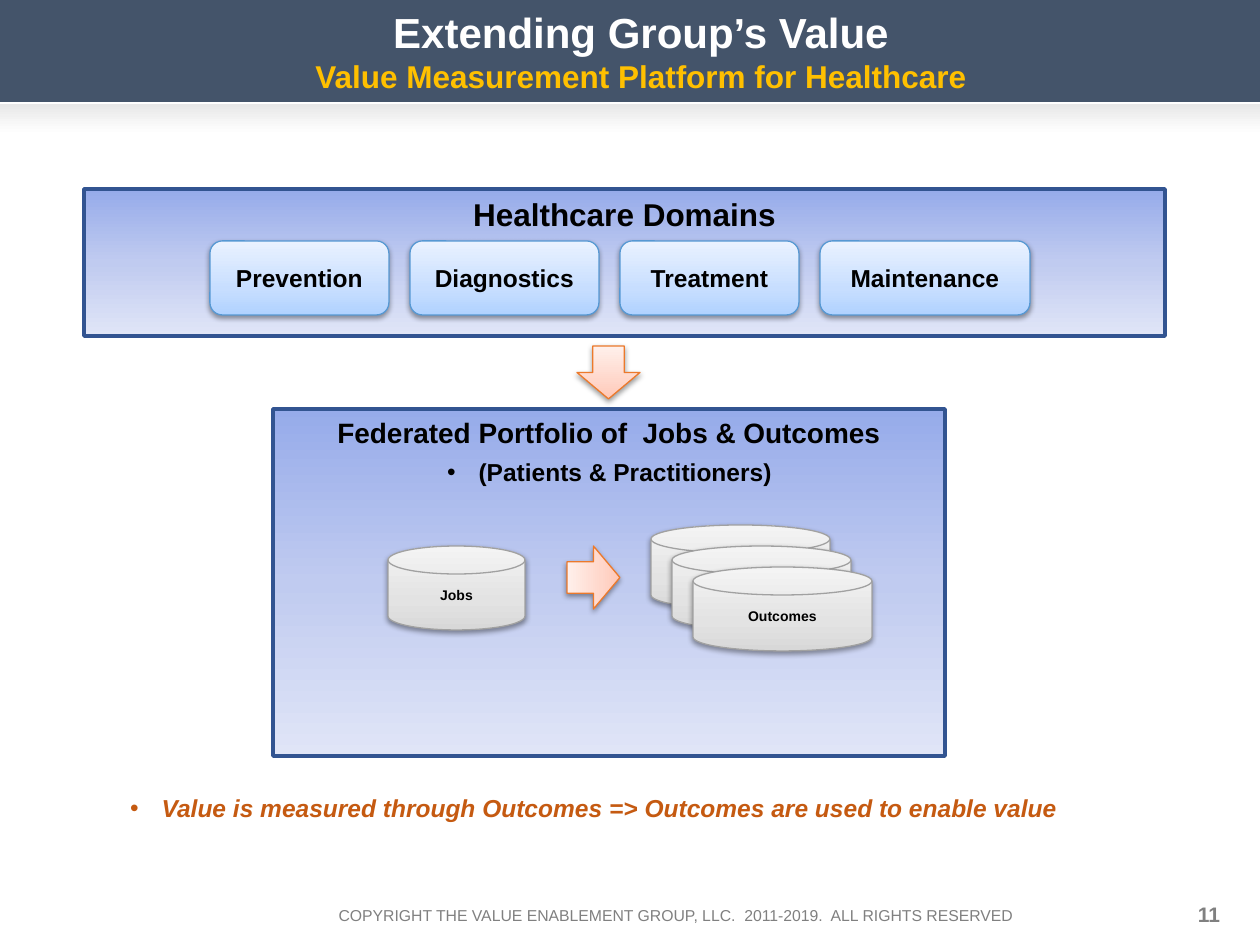
from lxml.etree import SubElement
from pptx import Presentation
from pptx.dml.color import RGBColor
from pptx.enum.shapes import MSO_SHAPE as Shape
from pptx.enum.text import MSO_ANCHOR as Anchor, PP_ALIGN as Align
from pptx.oxml.ns import qn
from pptx.util import Inches, Pt

PX = Inches(1) / 126
FONT = "Arial"
WHITE = RGBColor(0xFF, 0xFF, 0xFF)
BLACK = RGBColor(0x00, 0x00, 0x00)
GRAY = RGBColor(0x80, 0x80, 0x80)
NAVY = RGBColor(0x44, 0x54, 0x6A)
GOLD = RGBColor(0xFF, 0xC0, 0x00)
RUST = RGBColor(0xC5, 0x5A, 0x11)
PALE_GRAY = RGBColor(0xE8, 0xE8, 0xE8)
PANEL_LINE = RGBColor(0x32, 0x54, 0x91)
PANEL_STOPS = (
    (0, RGBColor(0x96, 0xAB, 0xEA)),
    (50, RGBColor(0xC0, 0xCB, 0xF0)),
    (100, RGBColor(0xE0, 0xE5, 0xF7)),
)
DISK_LINE = RGBColor(0xA1, 0xA1, 0xA1)
DISK_STOPS = (
    (0, RGBColor(0xD8, 0xD8, 0xD8)),
    (35, RGBColor(0xE3, 0xE3, 0xE3)),
    (100, RGBColor(0xF4, 0xF4, 0xF4)),
)
DOMAIN_LINE = RGBColor(0x56, 0x98, 0xD3)
DOMAIN_STOPS = (
    (0, RGBColor(0xB0, 0xD2, 0xFF)),
    (35, RGBColor(0xC7, 0xDE, 0xFF)),
    (100, RGBColor(0xEA, 0xF2, 0xFF)),
)
ARROW_LINE = RGBColor(0xEC, 0x79, 0x2B)
ARROW_STOPS = (
    (0, RGBColor(0xFF, 0xC7, 0xB6)),
    (35, RGBColor(0xFF, 0xD7, 0xCB)),
    (100, RGBColor(0xFF, 0xF0, 0xEB)),
)


def px(*lengths):
    return [round(length * PX) for length in lengths]


def add_run(paragraph, text, size, color, **formats):
    run = paragraph.add_run()
    run.text = text
    for name, value in {"name": FONT, "size": Pt(size), **formats}.items():
        setattr(run.font, name, value)
    run.font.color.rgb = color


def set_gradient(shape, stops, angle):
    shape.fill.gradient()
    shape.fill.gradient_angle = angle
    stop_list = shape._element.spPr.find(qn("a:gradFill")).find(qn("a:gsLst"))
    for stop in list(stop_list):
        stop_list.remove(stop)
    for position, color in stops:
        stop = SubElement(stop_list, qn("a:gs"), pos=str(position * 1000))
        SubElement(stop, qn("a:srgbClr"), val=str(color))


def add_shadow(shape):
    effects = shape._element.spPr.find(qn("a:effectLst"))
    shadow = SubElement(effects, qn("a:outerShdw"), blurRad=str(Pt(3.1)),
                        dist=str(Pt(1.6)), dir="5400000", rotWithShape="0")
    color = SubElement(shadow, qn("a:srgbClr"), val=str(BLACK))
    SubElement(color, qn("a:alpha"), val="38000")


def add_plain_shape(slide, kind, box):
    shape = slide.shapes.add_shape(kind, *px(*box))
    shape.shadow.inherit = False
    return shape


def add_band(slide, box):
    band = add_plain_shape(slide, Shape.RECTANGLE, box)
    band.line.fill.background()
    return band


def add_label(shape, text, size, anchor):
    shape.text_frame.word_wrap = True
    shape.text_frame.vertical_anchor = anchor
    paragraph = shape.text_frame.paragraphs[0]
    paragraph.alignment = Align.CENTER
    add_run(paragraph, text, size, BLACK, bold=True)


def add_panel(slide, box, text, size):
    panel = add_plain_shape(slide, Shape.FLOWCHART_PROCESS, box)
    set_gradient(panel, PANEL_STOPS, 270)
    panel.line.color.rgb = PANEL_LINE
    panel.line.width = Pt(2)
    add_label(panel, text, size, Anchor.TOP)


def add_raised(slide, kind, box, stops, line_color, text="", size=8):
    shape = add_plain_shape(slide, kind, box)
    set_gradient(shape, stops, 90)
    shape.line.color.rgb = line_color
    shape.line.width = Pt(0.75)
    add_shadow(shape)
    if text:
        add_label(shape, text, size, Anchor.MIDDLE)
    return shape


def add_disk(slide, box, text=""):
    add_raised(slide, Shape.FLOWCHART_MAGNETIC_DISK, box, DISK_STOPS, DISK_LINE, text)


def add_arrow(slide, box, rotation=0):
    arrow = add_raised(slide, Shape.DOWN_ARROW, box, ARROW_STOPS, ARROW_LINE)
    arrow.rotation = rotation


def add_text(slide, box, **frame_formats):
    frame = slide.shapes.add_textbox(*px(*box)).text_frame
    for name, value in {"word_wrap": True, **frame_formats}.items():
        setattr(frame, name, value)
    paragraph = frame.paragraphs[0]
    paragraph.alignment = Align.CENTER
    return paragraph


def add_bullet_text(slide, box, text, color, **formats):
    paragraph = add_text(slide, box)
    properties = paragraph._p.get_or_add_pPr()
    properties.set("marL", str(Inches(0.25)))
    properties.set("indent", str(-Inches(0.25)))
    SubElement(properties, qn("a:buFont"), typeface=FONT)
    SubElement(properties, qn("a:buChar"), char="•")
    add_run(paragraph, text, 14, color, bold=True, **formats)


def add_header(slide):
    set_gradient(add_band(slide, (0, 104, 1260, 30)), ((0, PALE_GRAY), (100, WHITE)), 270)
    header = add_band(slide, (0, 0, 1260, 102))
    header.fill.solid()
    header.fill.fore_color.rgb = NAVY
    title = add_text(slide, (271, 0, 740, 102))
    add_run(title, "Extending Group’s Value", 24, WHITE, bold=True)
    title.add_line_break()
    add_run(title, "Value Measurement Platform for Healthcare", 18, GOLD, bold=True)


def add_footer(slide):
    number = add_text(slide, (1162, 883, 94, 63), word_wrap=False,
                      vertical_anchor=Anchor.MIDDLE, margin_left=0, margin_right=0)
    add_run(number, "11", 12, GRAY, bold=True)
    notice = add_text(slide, (307, 900, 737, 32))
    add_run(notice, "COPYRIGHT THE VALUE ENABLEMENT GROUP, LLC.  2011-2019.  ALL RIGHTS RESERVED", 9, GRAY)


def add_domains(slide):
    add_panel(slide, (84, 189, 1081, 147), "Healthcare Domains", 18)
    left, gap = 210, 21
    domains = (("Prevention", 179), ("Diagnostics", 189), ("Treatment", 179), ("Maintenance", 210))
    for text, width in domains:
        add_raised(slide, Shape.ROUNDED_RECTANGLE, (left, 241, width, 74),
                   DOMAIN_STOPS, DOMAIN_LINE, text, 14)
        left += width + gap


def add_portfolio(slide):
    add_panel(slide, (273, 409, 672, 347), "Federated Portfolio of  Jobs & Outcomes", 16)
    for index, text in enumerate(("", "", "Outcomes")):
        add_disk(slide, (651 + 21 * index, 525 + 21 * index, 179, 84), text)
    add_disk(slide, (388, 546, 137, 84), "Jobs")
    add_arrow(slide, (562, 551, 63, 53), 270)
    add_bullet_text(slide, (431, 451, 357, 43), "(Patients & Practitioners)", BLACK)


def main():
    presentation = Presentation()
    presentation.slide_width, presentation.slide_height = Inches(10), Inches(7.5)
    slide = presentation.slides.add_slide(presentation.slide_layouts[6])
    add_header(slide)
    add_footer(slide)
    add_portfolio(slide)
    add_domains(slide)
    add_arrow(slide, (577, 346, 63, 53))
    add_bullet_text(slide, (116, 787, 956, 43),
                    "Value is measured through Outcomes => Outcomes are used to enable value",
                    RUST, italic=True)
    presentation.save("out.pptx")


if __name__ == "__main__":
    main()
